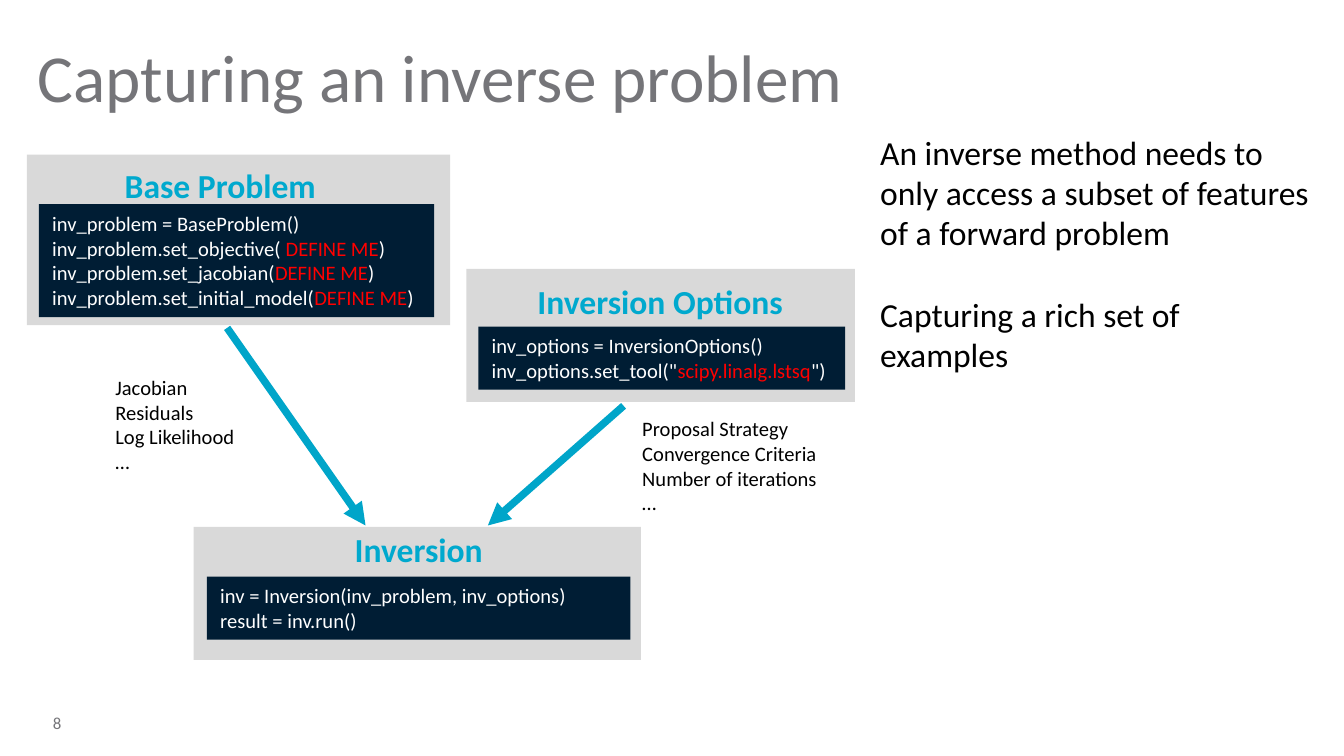
from pptx import Presentation
from pptx.dml.color import RGBColor
from pptx.enum.shapes import MSO_CONNECTOR, MSO_SHAPE
from pptx.enum.text import MSO_ANCHOR, MSO_AUTO_SIZE, PP_ALIGN
from pptx.oxml.ns import qn
from pptx.util import Inches, Pt
from lxml.etree import SubElement

SLIDE_SIZE = (10, 10 * 9 / 16)
FONT = "Calibri"
GREY, BLACK, WHITE, RED = "757579", "000000", "FFFFFF", "FF0000"
PANEL, CODE, HEADING, ARROW = "D9D9D9", "001D34", "00A9CE", "00A5C9"

TITLE = "Capturing an inverse problem"
REMARKS = [
    "An inverse method needs to only access a subset of features of a forward problem",
    "Capturing a rich set of examples",
]
PAGE_NUMBER = "8 "

# Boxes are (left, top, width, height) in inches.
# A code line is a tuple of pieces; every second piece is red.
STEPS = [
    {
        "heading": "Base Problem",
        "panel_box": (0.2, 1.15, 3.15, 1.27),
        "heading_box": (0.83, 1.18, 1.64, 0.4),
        "code_box": (0.29, 1.52, 2.94, 0.84),
        "code": [
            ("inv_problem = BaseProblem()",),
            ("inv_problem.set_objective( ", "DEFINE ME", ")"),
            ("inv_problem.set_jacobian(", "DEFINE ME", ")"),
            ("inv_problem.set_initial_model(", "DEFINE ME", ")"),
        ],
    },
    {
        "heading": "Inversion Options",
        "panel_box": (3.47, 2, 2.89, 0.99),
        "heading_box": (3.9, 2.04, 2.04, 0.4),
        "code_box": (3.56, 2.43, 2.73, 0.47),
        "code": [
            ("inv_options = InversionOptions()",),
            ('inv_options.set_tool("', "scipy.linalg.lstsq", '")'),
        ],
    },
    {
        "heading": "Inversion",
        "panel_box": (1.44, 3.92, 3.33, 0.99),
        "heading_box": (2.54, 3.89, 1.16, 0.4),
        "code_box": (1.54, 4.29, 3.15, 0.47),
        "code": [
            ("inv = Inversion(inv_problem, inv_options)",),
            ("result = inv.run()",),
        ],
    },
]
INPUTS = [
    ((0.76, 2.74, 1.09, 0.84),
     ["Jacobian", "Residuals", "Log Likelihood", "…"]),
    ((4.68, 3.05, 1.52, 0.84),
     ["Proposal Strategy", "Convergence Criteria", "Number of iterations", "…"]),
]
ARROWS = [((1.69, 2.44), (2.72, 3.91)), ((4.64, 3.02), (3.63, 3.91))]


def rgb(color):
    return RGBColor.from_string(color)


def inches(values):
    return [Inches(value) for value in values]


def style(font, size, color, bold=False):
    font.name, font.size, font.bold = FONT, Pt(size), bold
    font.color.rgb = rgb(color)


def add_text(slide, box, lines, size, color, bold=False, wrap=False, inset=True):
    frame = slide.shapes.add_textbox(*inches(box)).text_frame
    frame.text = "\n".join(lines)
    frame.word_wrap = wrap
    if inset:
        frame.auto_size = MSO_AUTO_SIZE.SHAPE_TO_FIT_TEXT
    else:
        frame.margin_left = frame.margin_right = 0
        frame.margin_top = frame.margin_bottom = 0
    for paragraph in frame.paragraphs:
        for run in paragraph.runs:
            style(run.font, size, color, bold)
    return frame


def add_rectangle(slide, box, color):
    rectangle = slide.shapes.add_shape(MSO_SHAPE.RECTANGLE, *inches(box))
    rectangle.shadow.inherit = False
    rectangle.fill.solid()
    rectangle.fill.fore_color.rgb = rgb(color)
    rectangle.line.fill.background()
    return rectangle


def add_code(slide, box, lines):
    frame = add_rectangle(slide, box, CODE).text_frame
    frame.word_wrap = True
    frame.vertical_anchor = MSO_ANCHOR.TOP
    for number, pieces in enumerate(lines):
        paragraph = frame.add_paragraph() if number else frame.paragraphs[0]
        paragraph.alignment = PP_ALIGN.LEFT
        for index, piece in enumerate(pieces):
            run = paragraph.add_run()
            run.text = piece
            style(run.font, 11, RED if index % 2 else WHITE)


def add_arrow(slide, start, end):
    arrow = slide.shapes.add_connector(
        MSO_CONNECTOR.STRAIGHT, *inches(start), *inches(end))
    arrow.line.color.rgb = rgb(ARROW)
    arrow.line.width = Pt(4)
    outline = arrow._element.spPr.find(qn("a:ln"))
    SubElement(outline, qn("a:tailEnd"), type="triangle")
    SubElement(arrow._element.spPr, qn("a:effectLst"))


def main():
    presentation = Presentation()
    presentation.slide_width, presentation.slide_height = inches(SLIDE_SIZE)
    slide = presentation.slides.add_slide(presentation.slide_layouts[6])

    add_text(slide, (0.28, 0.26, 9.45, 0.7), [TITLE], 36, GREY, wrap=True, inset=False)
    remarks = add_text(slide, (6.45, 0.93, 3.42, 2.52), REMARKS, 18, BLACK, wrap=True)
    remarks.paragraphs[1].space_before = Pt(22)

    for step in STEPS:
        add_rectangle(slide, step["panel_box"], PANEL)
        add_code(slide, step["code_box"], step["code"])
        add_text(slide, step["heading_box"], [step["heading"]], 18, HEADING, bold=True)
    for start, end in ARROWS:
        add_arrow(slide, start, end)
    for box, lines in INPUTS:
        add_text(slide, box, lines, 11, BLACK)

    page = add_text(slide, (0.28, 5.33, 0.32, 0.1), [PAGE_NUMBER], 9, GREY,
                    wrap=True, inset=False)
    page.vertical_anchor = MSO_ANCHOR.MIDDLE
    page.paragraphs[0].alignment = PP_ALIGN.CENTER

    presentation.save("out.pptx")


if __name__ == "__main__":
    main()
